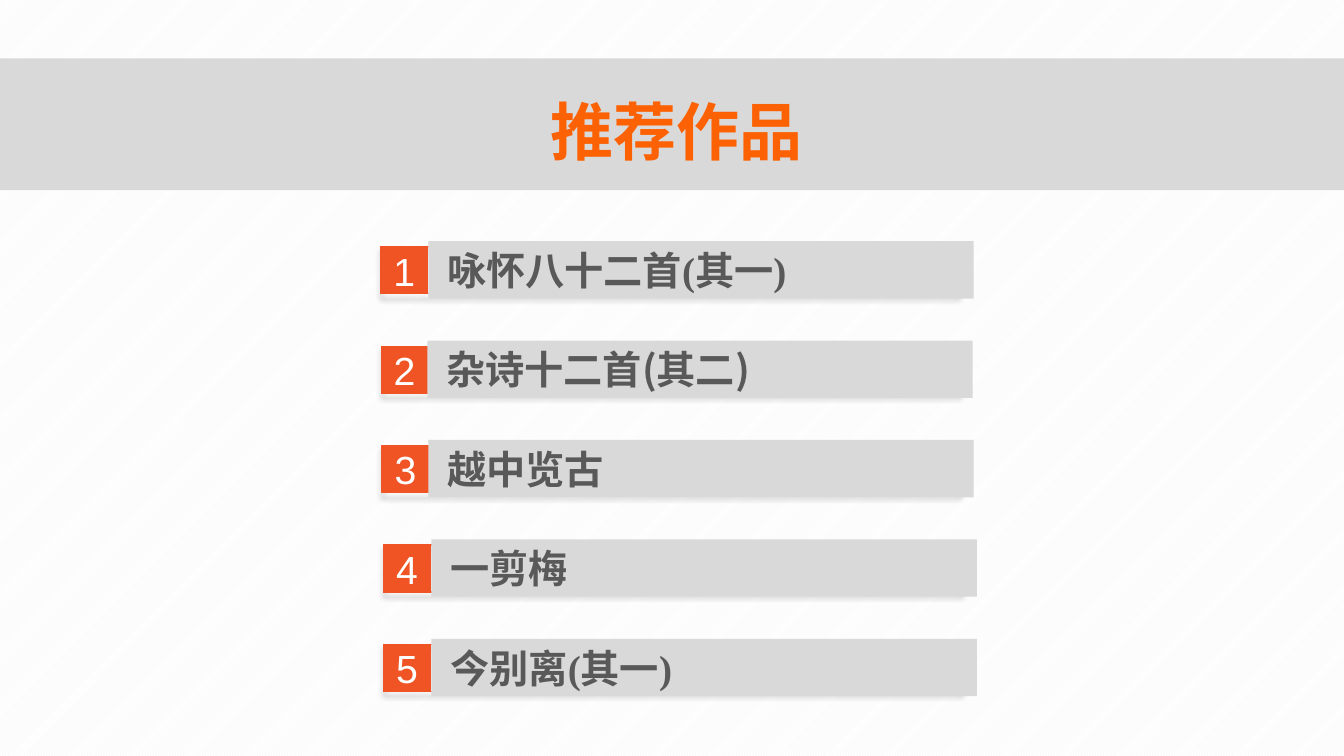
"""Build the recommended works slide."""
import pptx
import pptx.util
import pptx.oxml
import pptx.enum.dml
import pptx.enum.shapes
import pptx.enum.text
import pptx.dml.color

Pt = pptx.util.Pt
TITLE = "推荐作品"
SERIF, CJK, SANS = "Times New Roman", "Noto Sans CJK SC", "Arial"
WORKS = [
    ("咏怀八十二首(其一)", SERIF, 272.2, 306),
    ("杂诗十二首(其二)", CJK, 272.4, 305.3),
    ("越中览古", CJK, 273, 306),
    ("一剪梅", CJK, 274.1, 308.2),
    ("今别离(其一)", SERIF, 274.1, 308.2),
]
COLORS = {"gray": "D9D9D9", "accent": "F05425", "title": "FC6204", "text": "595959",
          "white": "FFFFFF", "stripe": "F2F2F2"}
FIRST_TOP, PITCH = 172.3, 71
BAR_W, BAR_H = 389.5, 41
FRAME_W, BADGE_W, BADGE_H = 412.5, 33.2, 33.6
INSET = 4
SHADOW = (
    '<a:effectLst xmlns:a="http://schemas.openxmlformats.org/drawingml/2006/main">'
    '<a:outerShdw blurRad="50800" dist="38100" dir="5400000" algn="t" rotWithShape="0">'
    '<a:srgbClr val="000000"><a:alpha val="40000"/></a:srgbClr>'
    '</a:outerShdw></a:effectLst>'
)


def rgb(name):
    return pptx.dml.color.RGBColor.from_string(COLORS[name])


def add_rect(s, left, top, width, height, fill=None, line=None, shadow=False):
    sp = s.shapes.add_shape(pptx.enum.shapes.MSO_SHAPE.RECTANGLE,
                            Pt(left), Pt(top), Pt(width), Pt(height))
    if fill:
        sp.fill.solid()
        sp.fill.fore_color.rgb = rgb(fill)
    else:
        sp.fill.background()
    if line:
        sp.line.color.rgb = rgb(line)
        sp.line.width = Pt(1)
    else:
        sp.line.fill.background()
    if shadow:
        sp._element.spPr.append(pptx.oxml.parse_xml(SHADOW))
    else:
        sp.shadow.inherit = False
    return sp


def set_text(sp, text, font, size, color, bold=False, centered=True, indent=0):
    tf = sp.text_frame
    tf.text = text
    tf.word_wrap = True
    tf.vertical_anchor = pptx.enum.text.MSO_ANCHOR.MIDDLE
    tf.margin_top = tf.margin_bottom = tf.margin_right = 0
    tf.margin_left = Pt(indent)
    p = tf.paragraphs[0]
    align = pptx.enum.text.PP_ALIGN
    p.alignment = align.CENTER if centered else align.LEFT
    r = p.runs[0]
    r.font.name, r.font.size, r.font.bold = font, Pt(size), bold
    r.font.color.rgb = rgb(color)
    ea = r._r.get_or_add_rPr().makeelement(pptx.oxml.ns.qn("a:ea"), {"typeface": CJK})
    r._r.rPr.find(pptx.oxml.ns.qn("a:latin")).addnext(ea)


def main():
    prs = pptx.Presentation()
    prs.slide_width, prs.slide_height = Pt(960), Pt(540)
    s = prs.slides.add_slide(prs.slide_layouts[6])
    fill = s.background.fill
    fill.patterned()
    fill.pattern = pptx.enum.dml.MSO_PATTERN.LIGHT_UPWARD_DIAGONAL
    fill.fore_color.rgb, fill.back_color.rgb = rgb("stripe"), rgb("white")

    add_rect(s, 0, 41.6, 960, 94.2, "gray")
    title = s.shapes.add_textbox(Pt(206.6), Pt(63.4), Pt(553.7), Pt(59))
    set_text(title, TITLE, SERIF, 45, "title", bold=True)

    for i, (work, font, left, bar_left) in enumerate(WORKS):
        top = FIRST_TOP + i * PITCH
        add_rect(s, left, top + INSET, FRAME_W, BADGE_H, line="accent", shadow=True)
        badge = add_rect(s, left, top + INSET, BADGE_W, BADGE_H, "accent", "accent")
        set_text(badge, str(i + 1), SANS, 28, "white")
        bar = add_rect(s, bar_left, top, BAR_W, BAR_H, "gray")
        set_text(bar, work, font, 28, "text", bold=True, centered=False, indent=13.5)

    prs.save("out.pptx")


if __name__ == "__main__":
    main()
